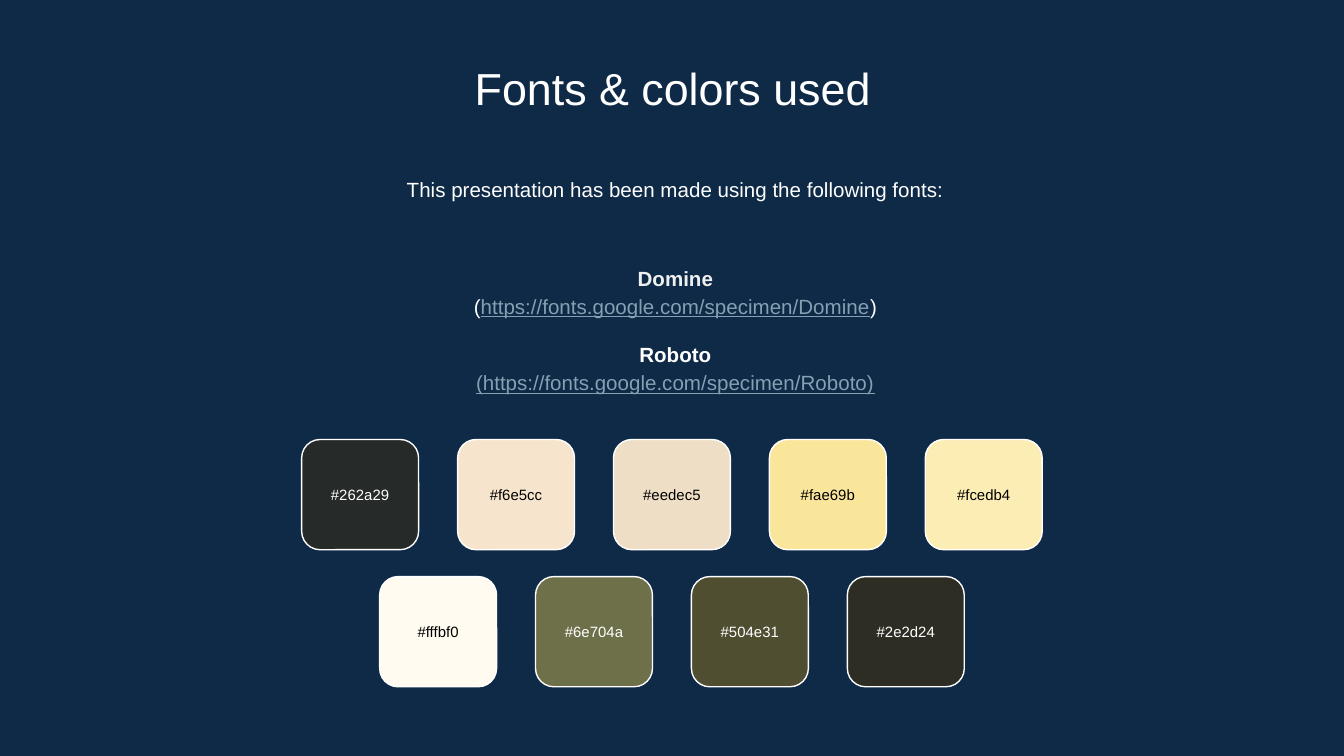
from dataclasses import dataclass

import pptx
import pptx.dml.color
import pptx.enum.shapes
import pptx.enum.text
import pptx.util

Inches = pptx.util.Inches
Pt = pptx.util.Pt
RGB = pptx.dml.color.RGBColor


@dataclass(frozen=True)
class Theme:
    font: str = "Arial"
    back: str = "0E2A47"
    white: str = "FFFFFF"
    black: str = "000000"
    pale: str = "EFEFEF"
    link: str = "869FB2"
    title: float = 24
    body: float = 11
    label: float = 8


@dataclass(frozen=True)
class Span:
    text: str
    color: str
    size: float
    bold: bool = False
    under: bool = False


@dataclass(frozen=True)
class Line:
    spans: tuple[Span, ...]
    before: float = 0


@dataclass(frozen=True)
class Row:
    top: float
    codes: tuple[str, ...]


THEME = Theme()
WIDTH = 10
HEIGHT = WIDTH * 9 / 16
TILE_W, TILE_H, PITCH = 0.87, 0.82, 1.16
ROWS = (
    Row(3.27, ("262a29", "f6e5cc", "eedec5", "fae69b", "fcedb4")),
    Row(4.29, ("fffbf0", "6e704a", "504e31", "2e2d24")),
)


def body(text: str, color: str = THEME.white, **style: bool) -> Span:
    return Span(text, color, THEME.body, **style)


def link(text: str) -> Span:
    return body(text, THEME.link, under=True)


def write(shape, lines: list[Line], spacing: float = 1.0, middle: bool = True) -> None:
    """Fill a shape with centred lines of styled spans."""
    frame = shape.text_frame
    frame.word_wrap = True
    frame.margin_left = frame.margin_right = Inches(0.1)
    frame.margin_top = frame.margin_bottom = Inches(0.1)
    anchor = pptx.enum.text.MSO_ANCHOR
    frame.vertical_anchor = anchor.MIDDLE if middle else anchor.TOP
    for i, line in enumerate(lines):
        para = frame.add_paragraph() if i else frame.paragraphs[0]
        para.alignment = pptx.enum.text.PP_ALIGN.CENTER
        para.line_spacing = spacing
        para.space_before = Pt(line.before)
        for span in line.spans:
            run = para.add_run()
            run.text = span.text
            run.font.name = THEME.font
            run.font.size = Pt(span.size)
            run.font.bold = span.bold
            run.font.underline = span.under
            run.font.color.rgb = RGB.from_string(span.color)


def add_box(slide, left: float, top: float, width: float, height: float):
    return slide.shapes.add_textbox(
        Inches(left), Inches(top), Inches(width), Inches(height))


def add_tile(slide, left: float, top: float, code: str) -> None:
    """Draw one swatch, with its code in the tone that reads on it."""
    tile = slide.shapes.add_shape(
        pptx.enum.shapes.MSO_SHAPE.ROUNDED_RECTANGLE,
        Inches(left), Inches(top), Inches(TILE_W), Inches(TILE_H))
    tile.shadow.inherit = False
    fill = RGB.from_string(code.upper())
    tile.fill.solid()
    tile.fill.fore_color.rgb = fill
    tile.line.color.rgb = RGB.from_string(THEME.white)
    tile.line.width = Pt(0.75)
    ink = THEME.black if sum(fill) > 384 else THEME.white
    write(tile, [Line((Span("#" + code, ink, THEME.label),))])


def add_row(slide, row: Row) -> None:
    """Draw a row of swatches centred on the slide."""
    span = PITCH * (len(row.codes) - 1) + TILE_W
    for i, code in enumerate(row.codes):
        add_tile(slide, (WIDTH - span) / 2 + i * PITCH, row.top, code)


def main() -> None:
    deck = pptx.Presentation()
    deck.slide_width, deck.slide_height = Inches(WIDTH), Inches(HEIGHT)
    slide = deck.slides.add_slide(deck.slide_layouts[6])
    slide.background.fill.solid()
    slide.background.fill.fore_color.rgb = RGB.from_string(THEME.back)

    intro = "This presentation has been made using the following fonts:"
    write(add_box(slide, 1.17, 1.19, 7.71, 0.48),
          [Line((body(intro),))], 1.15, middle=False)
    write(add_box(slide, 1.17, 1.76, 7.71, 1.37), [
        Line((body("Domine", THEME.pale, bold=True),)),
        Line((body("("), link("https://fonts.google.com/specimen/Domine"), body(")"))),
        Line((body("Roboto", bold=True),), before=10.6),
        Line((link("(https://fonts.google.com/specimen/Roboto)"),)),
    ], 1.15)
    write(add_box(slide, 1.15, 0.35, 7.71, 0.53),
          [Line((Span("Fonts & colors used", THEME.white, THEME.title),))],
          middle=False)
    for row in ROWS:
        add_row(slide, row)
    deck.save("out.pptx")


if __name__ == "__main__":
    main()
